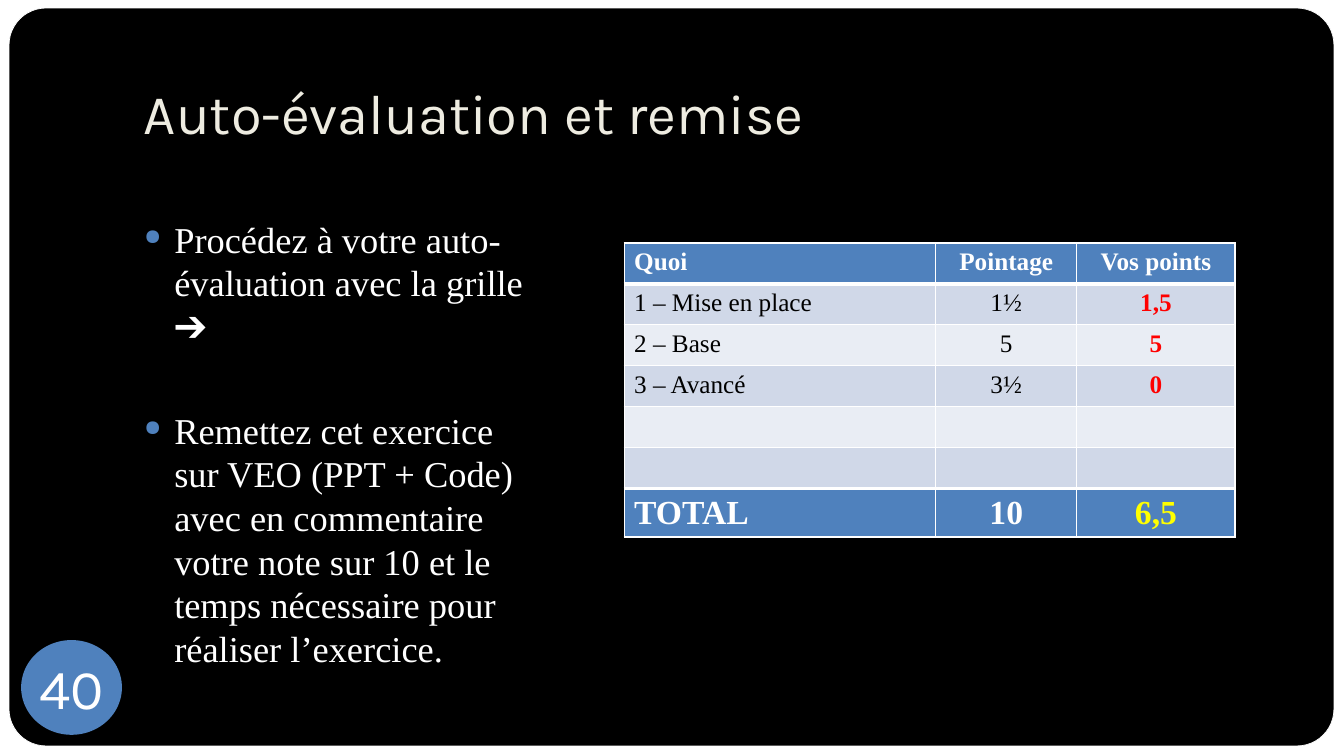
import pptx
import pptx.util
import pptx.dml.color
import pptx.enum.shapes
import pptx.enum.text
import pptx.oxml.ns
from lxml import etree

RGBColor = pptx.dml.color.RGBColor
SHAPE = pptx.enum.shapes.MSO_SHAPE
ALIGN = pptx.enum.text.PP_ALIGN
ANCHOR = pptx.enum.text.MSO_ANCHOR
Inches = pptx.util.Inches
Pt = pptx.util.Pt

BLACK = RGBColor(0x00, 0x00, 0x00)
WHITE = RGBColor(0xFF, 0xFF, 0xFF)
CREAM = RGBColor(0xEE, 0xEC, 0xE1)
BLUE = RGBColor(0x4F, 0x81, 0xBD)
BAND_DARK = RGBColor(0xD0, 0xD8, 0xE8)
BAND_LIGHT = RGBColor(0xE9, 0xED, 0xF4)
RED = RGBColor(0xFF, 0x00, 0x00)
YELLOW = RGBColor(0xFF, 0xFF, 0x00)

HEADING_FONT = "Karla"
BODY_FONT = "Times New Roman"
SLIDE_WIDTH, SLIDE_HEIGHT = 13.33, 7.5

INSTRUCTIONS = [
    "Procédez à votre auto-évaluation avec la grille ➔",
    "Remettez cet exercice sur VEO (PPT + Code) avec en commentaire votre note "
    "sur 10 et le temps nécessaire pour réaliser l’exercice.",
]
GRADES = [
    ("Quoi", "Pointage", "Vos points"),
    ("1 – Mise en place", "1½", "1,5"),
    ("2 – Base", "5", "5"),
    ("3 – Avancé", "3½", "0"),
    ("", "", ""),
    ("", "", ""),
    ("TOTAL", "10", "6,5"),
]
COLUMN_WIDTHS = (3.09, 1.4, 1.57)
TABLE_HEIGHT, TOTAL_HEIGHT = 2.91, 0.47
ROW_HEIGHT = (TABLE_HEIGHT - TOTAL_HEIGHT) / (len(GRADES) - 1)


def write_text(paragraph, text, *, size, color, font=BODY_FONT, bold=False, align=ALIGN.LEFT):
    paragraph.alignment = align
    run = paragraph.add_run()
    run.text = text
    run.font.name = font
    run.font.size = Pt(size)
    run.font.bold = bold
    run.font.color.rgb = color


def set_insets(frame, left, top, right, bottom):
    frame.margin_left, frame.margin_top = Inches(left), Inches(top)
    frame.margin_right, frame.margin_bottom = Inches(right), Inches(bottom)


def add_panel(slide, preset, box, fill):
    shape = slide.shapes.add_shape(preset, *map(Inches, box))
    shape.shadow.inherit = False
    shape.fill.solid()
    shape.fill.fore_color.rgb = fill
    shape.line.fill.background()
    return shape


def add_backdrop(slide, box):
    left, top, width, height = box
    slide.background.fill.solid()
    slide.background.fill.fore_color.rgb = BLACK
    add_panel(slide, SHAPE.RECTANGLE, box, WHITE)
    inset_x, inset_y = 0.09, 0.08
    inner = (left + inset_x, top + inset_y, width - 0.19, height - 0.18)
    frame = add_panel(slide, SHAPE.ROUNDED_RECTANGLE, inner, BLACK)
    frame.adjustments[0] = 0.05
    frame.line.color.rgb = WHITE
    frame.line.width = Pt(0.5)


def add_title(slide, box, text):
    frame = slide.shapes.add_textbox(*map(Inches, box)).text_frame
    frame.word_wrap = True
    frame.vertical_anchor = ANCHOR.BOTTOM
    set_insets(frame, 0.1, 0.05, 0.1, 0.1)
    write_text(frame.paragraphs[0], text, size=40, color=CREAM, font=HEADING_FONT)


def add_slide_number(slide, box, text):
    frame = add_panel(slide, SHAPE.OVAL, box, BLUE).text_frame
    frame.word_wrap = False
    frame.vertical_anchor = ANCHOR.MIDDLE
    set_insets(frame, 0, 0, 0, 0)
    write_text(frame.paragraphs[0], text, size=40, color=WHITE,
               font=HEADING_FONT, align=ALIGN.CENTER)


def add_bullet(paragraph):
    properties = paragraph._p.get_or_add_pPr()
    indent = Inches(0.3)
    properties.set("marL", str(indent))
    properties.set("indent", str(-indent))
    qn = pptx.oxml.ns.qn
    color = etree.SubElement(properties, qn("a:buClr"))
    etree.SubElement(color, qn("a:srgbClr"), val=str(BLUE))
    etree.SubElement(properties, qn("a:buSzPct"), val="60000")
    etree.SubElement(properties, qn("a:buChar"), char="●")


def add_instructions(slide, box, items):
    frame = slide.shapes.add_textbox(*map(Inches, box)).text_frame
    frame.word_wrap = True
    set_insets(frame, 0.1, 0.57, 0.1, 0.05)
    for index, item in enumerate(items):
        paragraph = frame.add_paragraph() if index else frame.paragraphs[0]
        paragraph.space_before = Pt(43 if index else 0)
        add_bullet(paragraph)
        write_text(paragraph, item, size=26, color=WHITE)


def set_borders(cell, top, bottom):
    """Draw white borders; must run before the cell's fill is set."""
    qn = pptx.oxml.ns.qn
    properties = cell._tc.get_or_add_tcPr()
    for side, width in (("L", 1), ("R", 1), ("T", top), ("B", bottom)):
        line = etree.SubElement(properties, qn(f"a:ln{side}"), w=str(Pt(width)))
        fill = etree.SubElement(line, qn("a:solidFill"))
        etree.SubElement(fill, qn("a:srgbClr"), val=str(WHITE))


def add_grade_table(slide, box, grades):
    last_row, last_column = len(grades) - 1, len(COLUMN_WIDTHS) - 1
    table = slide.shapes.add_table(len(grades), len(COLUMN_WIDTHS), *map(Inches, box)).table
    for column, width in zip(table.columns, COLUMN_WIDTHS):
        column.width = Inches(width)
    for row_index, values in enumerate(grades):
        is_total = row_index == last_row
        is_band = 0 < row_index < last_row
        table.rows[row_index].height = Inches(TOTAL_HEIGHT if is_total else ROW_HEIGHT)
        for column_index, value in enumerate(values):
            is_score = column_index == last_column
            cell = table.cell(row_index, column_index)
            set_borders(cell, top=3 if row_index in (1, last_row) else 1,
                        bottom=3 if row_index in (0, last_row - 1) else 1)
            cell.fill.solid()
            band = BAND_DARK if row_index % 2 else BAND_LIGHT
            cell.fill.fore_color.rgb = band if is_band else BLUE
            if is_total:
                cell.vertical_anchor = ANCHOR.MIDDLE
                cell.margin_top = cell.margin_bottom = Inches(0.04)
            if not value:
                continue
            if is_band:
                color = RED if is_score else BLACK
            else:
                color = YELLOW if is_total and is_score else WHITE
            write_text(cell.text_frame.paragraphs[0], value, size=24 if is_total else 18,
                       color=color, bold=is_score or not is_band,
                       align=ALIGN.CENTER if column_index else ALIGN.LEFT)


def main():
    presentation = pptx.Presentation()
    presentation.slide_width = Inches(SLIDE_WIDTH)
    presentation.slide_height = Inches(SLIDE_HEIGHT)
    slide = presentation.slides.add_slide(presentation.slide_layouts[6])
    margin = 1.33
    add_backdrop(slide, (0, 0, SLIDE_WIDTH, SLIDE_HEIGHT))
    add_title(slide, (margin, 0.3, 11.33, 1.25), "Auto-évaluation et remise")
    add_slide_number(slide, (0.21, 6.35, 1, 0.94), "40")
    add_instructions(slide, (margin, 1.58, 4.15, 5.16), INSTRUCTIONS)
    add_grade_table(slide, (6.19, 2.41, sum(COLUMN_WIDTHS), TABLE_HEIGHT), GRADES)
    presentation.save("out.pptx")


if __name__ == "__main__":
    main()
